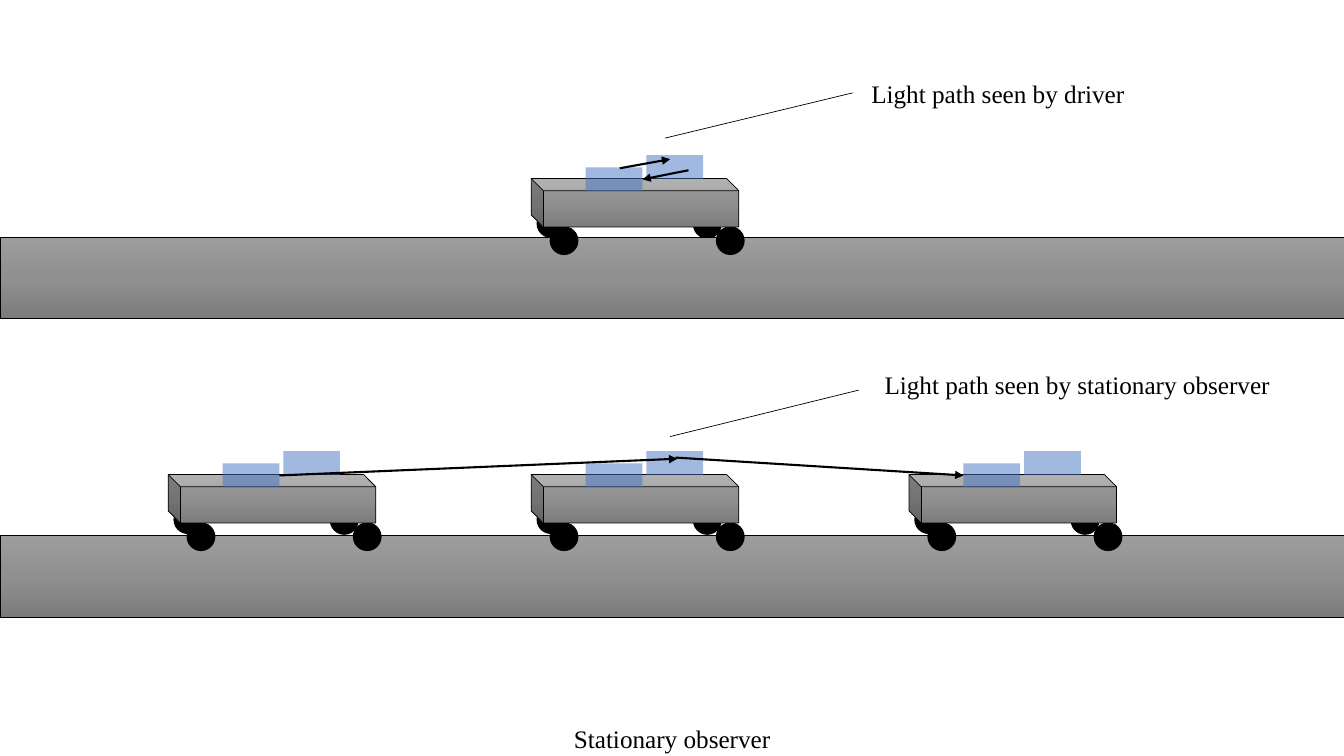
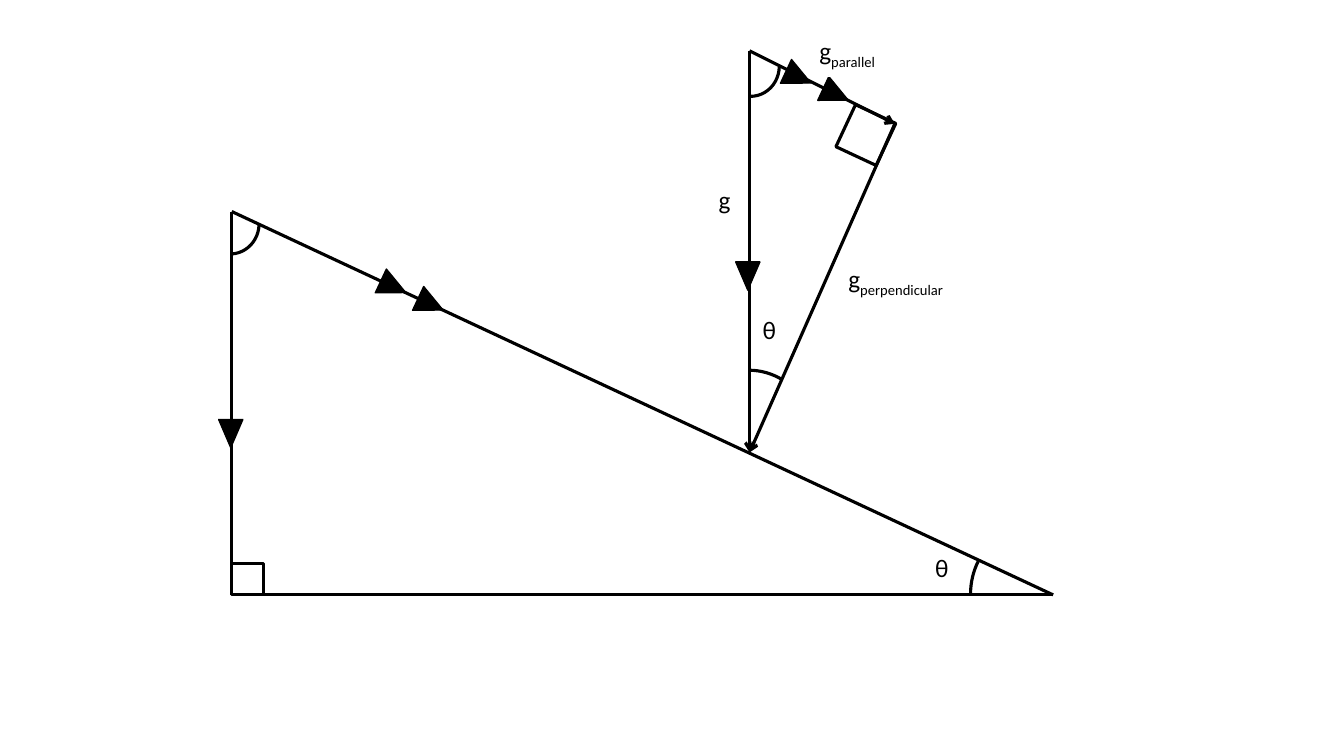
from copy import deepcopy
from dataclasses import dataclass

from pptx import Presentation
from pptx.dml.color import RGBColor
from pptx.enum.shapes import MSO_CONNECTOR, MSO_SHAPE
from pptx.enum.text import MSO_ANCHOR, PP_ALIGN
from pptx.oxml.ns import qn
from pptx.oxml.xmlchemy import OxmlElement
from pptx.util import Cm, Pt


@dataclass(frozen=True)
class Theme:
    ink: str = "000000"
    paper: str = "FFFFFF"
    glass: str = "4472C4"
    metal: tuple = ((0, "9D9D9D"), (0.5, "909090"), (1, "7C7C7C"))
    serif: str = "Times New Roman"
    sans: str = "Calibri"
    text_size: float = 18
    hairline: float = 0.5
    frame_line: float = 0.75
    outline: float = 1
    light_line: float = 1.5
    geometry_line: float = 2.25


THEME = Theme()
LEFT_SIDE, RIGHT_SIDE = 1, 3

# Content, lengths in centimetres
SLIDE_SIZE = (33.87, 19.05)

ROAD_TOPS, ROAD_HEIGHT = (5.97, 13.49), 2.06
CARS = {
    "driver": (13.39, 4.5),
    "start": (4.24, 11.96),
    "middle": (13.39, 11.96),
    "end": (22.91, 11.96),
}
# Parts of a car, measured from the top left of its body
BODY_SIZE, WINDOW_SIZE, WHEEL = (5.23, 1.22), (1.43, 0.6), 0.69
REAR_WHEELS = ((4.09, 0.81), (0.15, 0.79))
FRONT_WHEELS = ((0.48, 1.22), (4.67, 1.22))
REAR_WINDOW, FRONT_WINDOW = (2.9, -0.59), (1.37, -0.28)

# Start, end, then (car, side) for each end joined to a front window
LIGHT_PATHS = [
    ((15.62, 4.24), (16.89, 4.01), None, None),
    ((17.35, 4.29), (16.18, 4.52), None, ("driver", RIGHT_SIDE)),
    ((7.04, 11.99), (17.07, 11.56), ("start", RIGHT_SIDE), None),
    ((17.02, 11.53), (24.28, 11.99), None, ("end", LEFT_SIDE)),
]
CALLOUT_LINES = [((21.49, 2.34), (16.76, 3.48)), ((21.64, 9.83), (16.89, 11))]
OBSERVER_LABELS = [
    ("Stationary observer", (13.97, 18.11, 5.94, 1.02)),
    ("Light path seen by driver", (21.49, 1.85, 7.32, 1.02)),
    ("Light path seen by stationary observer", (21.64, 9.19, 11.02, 1.02)),
]

APEX, CORNER, TOE = (5.84, 5.33), (5.84, 14.99), (26.54, 14.99)
TOP, SIDE, FOOT = (18.89, 1.28), (22.55, 3.12), (18.89, 11.4)
DOWN_MARK, SLOPE_MARK = (0.61, 0.71, 180), (0.66, 0.69, 115)
# Lines: start, end, arrow. Marks: corner, kind. Arcs: frame, angles, rotation.
TRIANGLES = [
    {
        "lines": [(TOE, CORNER, None), (TOE, APEX, None), (CORNER, APEX, None)],
        "right_angle": ((5.84, 14.2, 0.81, 0.79), 0),
        "marks": [((5.51, 10.57), DOWN_MARK), ((9.58, 6.88), SLOPE_MARK),
                  ((10.52, 7.32), SLOPE_MARK)],
        "arcs": [((5.08, 4.88, 1.45, 1.52), (2.3, 87), 0),
                 ((24.46, 13.21, 3.33, 3.51), (179.5, 209.2), 0)],
        "labels": [],
    },
    {
        "lines": [(TOP, FOOT, "arrow"), (TOP, SIDE, "arrow"), (SIDE, FOOT, "arrow")],
        "right_angle": ((21.26, 2.82, 1.12, 1.17), 25),
        "marks": [((18.54, 6.6), DOWN_MARK), ((19.79, 1.6), SLOPE_MARK),
                  ((20.73, 2.03), SLOPE_MARK)],
        "arcs": [((17.12, 9.42, 3.51, 3.33), (180.1, 209.2), 90),
                 ((18.19, 0.91, 1.45, 1.52), (1.8, 92.2), 0)],
        "labels": [("g", "", (17.86, 4.42, 0.91, 1.19)),
                   ("g", "perpendicular", (21.13, 6.48, 3.61, 1.19)),
                   ("g", "parallel", (20.4, 0.74, 2.34, 1.19)),
                   ("θ", "", (18.97, 7.7, 0.97, 1.19))],
    },
]
TOE_LABEL = ("θ", (23.32, 13.79, 0.81, 1.02))


# Drawing helpers
def color(code):
    return RGBColor.from_string(code)


def lengths(values):
    return [Cm(value) for value in values]


def set_line(item, width, code=THEME.ink):
    item.line.color.rgb = color(code)
    item.line.width = Pt(width)


def add_figure(shapes, kind, frame, fill=None, width=None, rotation=0):
    figure = shapes.add_shape(kind, *lengths(frame))
    figure.shadow.inherit = False
    figure.rotation = rotation
    if fill:
        figure.fill.solid()
        figure.fill.fore_color.rgb = color(fill)
    else:
        figure.fill.background()
    if width:
        set_line(figure, width)
    else:
        figure.line.fill.background()
    return figure


def add_metal(shapes, kind, frame):
    figure = add_figure(shapes, kind, frame, width=THEME.hairline)
    figure.fill.gradient()
    figure.fill.gradient_angle = 270
    stop_list = next(figure.element.iter(qn("a:gsLst")))
    stop_list.append(deepcopy(stop_list[0]))
    for stop, (position, code) in zip(figure.fill.gradient_stops, THEME.metal):
        stop.position = position
        stop.color.rgb = color(code)
    return figure


def add_line(shapes, start, end, width, arrow=None):
    line = shapes.add_connector(MSO_CONNECTOR.STRAIGHT, *lengths(start + end))
    set_line(line, width)
    if arrow:
        tail = OxmlElement("a:tailEnd")
        tail.set("type", arrow)
        line.line._get_or_add_ln().append(tail)
    line.element.spPr.append(OxmlElement("a:effectLst"))
    return line


def add_label(shapes, text, frame, font, subscript="", align=PP_ALIGN.LEFT):
    box = shapes.add_textbox(*lengths(frame))
    box.text_frame.word_wrap = False
    box.text_frame.vertical_anchor = MSO_ANCHOR.MIDDLE
    box.text_frame.text = text
    para = box.text_frame.paragraphs[0]
    para.alignment = align
    if subscript:
        span = para.add_run()
        span.text = subscript
        span._r.get_or_add_rPr().set("baseline", "-25000")
    for span in para.runs:
        span.font.name = font
        span.font.size = Pt(THEME.text_size)
        span.font.color.rgb = color(THEME.ink)
    return box


# Car parts
def placed(origin, offset, size):
    return (origin[0] + offset[0], origin[1] + offset[1], *size)


def add_wheels(shapes, origin, offsets):
    for offset in offsets:
        frame = placed(origin, offset, (WHEEL, WHEEL))
        add_figure(shapes, MSO_SHAPE.OVAL, frame, THEME.ink, THEME.outline)


def add_window(shapes, origin, offset):
    frame = placed(origin, offset, WINDOW_SIZE)
    window = add_figure(shapes, MSO_SHAPE.RECTANGLE, frame, THEME.glass)
    alpha = OxmlElement("a:alpha")
    alpha.set("val", "50000")
    next(window.element.spPr.iter(qn("a:srgbClr"))).append(alpha)
    return window


def add_car(shapes, origin):
    """Draw all but the rear wheels and return the front window."""
    add_wheels(shapes, origin, FRONT_WHEELS)
    body = add_metal(shapes, MSO_SHAPE.CUBE, (*origin, *BODY_SIZE))
    body.element.spPr.find(qn("a:xfrm")).set("flipH", "1")
    add_window(shapes, origin, REAR_WINDOW)
    return add_window(shapes, origin, FRONT_WINDOW)


# Slides
def build_light_paths(page):
    shapes = page.shapes
    for origin in CARS.values():
        add_wheels(shapes, origin, REAR_WHEELS)
    for top in ROAD_TOPS:
        add_metal(shapes, MSO_SHAPE.RECTANGLE, (0, top, SLIDE_SIZE[0], ROAD_HEIGHT))
    windows = {name: add_car(shapes, origin) for name, origin in CARS.items()}

    for start, end, source, target in LIGHT_PATHS:
        ray = add_line(shapes, start, end, THEME.light_line, "triangle")
        if source:
            ray.begin_connect(windows[source[0]], source[1])
        if target:
            ray.end_connect(windows[target[0]], target[1])
    for start, end in CALLOUT_LINES:
        add_line(shapes, start, end, THEME.hairline)
    for text, frame in OBSERVER_LABELS:
        add_label(shapes, text, frame, THEME.serif, align=PP_ALIGN.CENTER)


def add_triangle(shapes, triangle):
    for start, end, arrow in triangle["lines"]:
        add_line(shapes, start, end, THEME.geometry_line, arrow)
    frame, rotation = triangle["right_angle"]
    add_figure(shapes, MSO_SHAPE.RECTANGLE, frame,
               width=THEME.geometry_line, rotation=rotation)
    for corner, (width, height, rotation) in triangle["marks"]:
        add_figure(shapes, MSO_SHAPE.ISOSCELES_TRIANGLE, (*corner, width, height),
                   THEME.ink, THEME.outline, rotation)
    for frame, angles, rotation in triangle["arcs"]:
        arc = add_figure(shapes, MSO_SHAPE.ARC, frame,
                         width=THEME.geometry_line, rotation=rotation)
        for index, degrees in enumerate(angles):
            arc.adjustments[index] = degrees * 0.6
    for text, subscript, frame in triangle["labels"]:
        box = add_label(shapes, text, frame, THEME.sans, subscript)
        set_line(box, THEME.frame_line, THEME.paper)


def build_inclined_plane(page):
    for triangle in TRIANGLES:
        add_triangle(page.shapes.add_group_shape().shapes, triangle)
    add_label(page.shapes, *TOE_LABEL, THEME.sans)


def main():
    deck = Presentation()
    deck.slide_width, deck.slide_height = lengths(SLIDE_SIZE)
    blank = deck.slide_layouts[6]
    for build in (build_light_paths, build_inclined_plane):
        build(deck.slides.add_slide(blank))
    deck.save("out.pptx")


if __name__ == "__main__":
    main()
